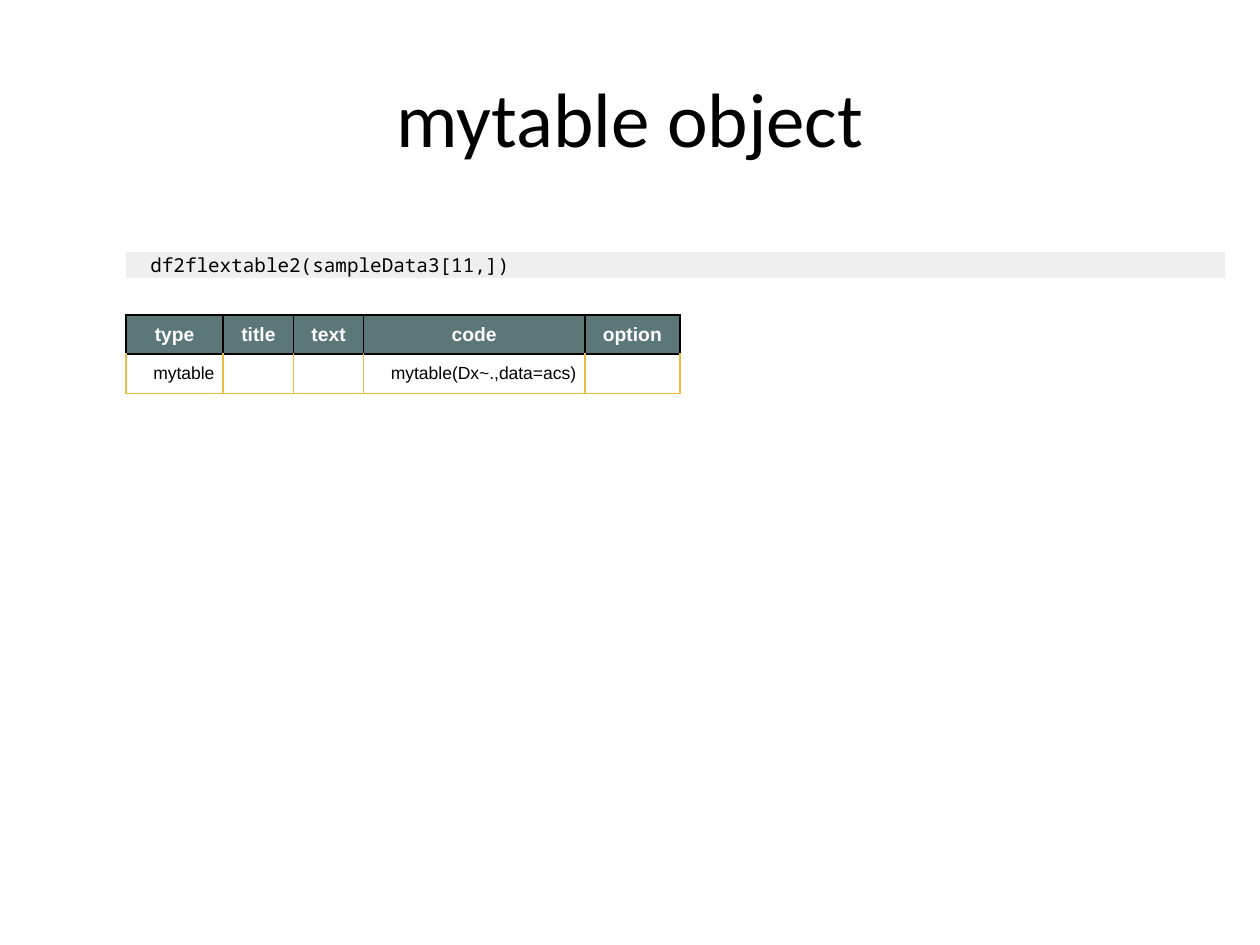
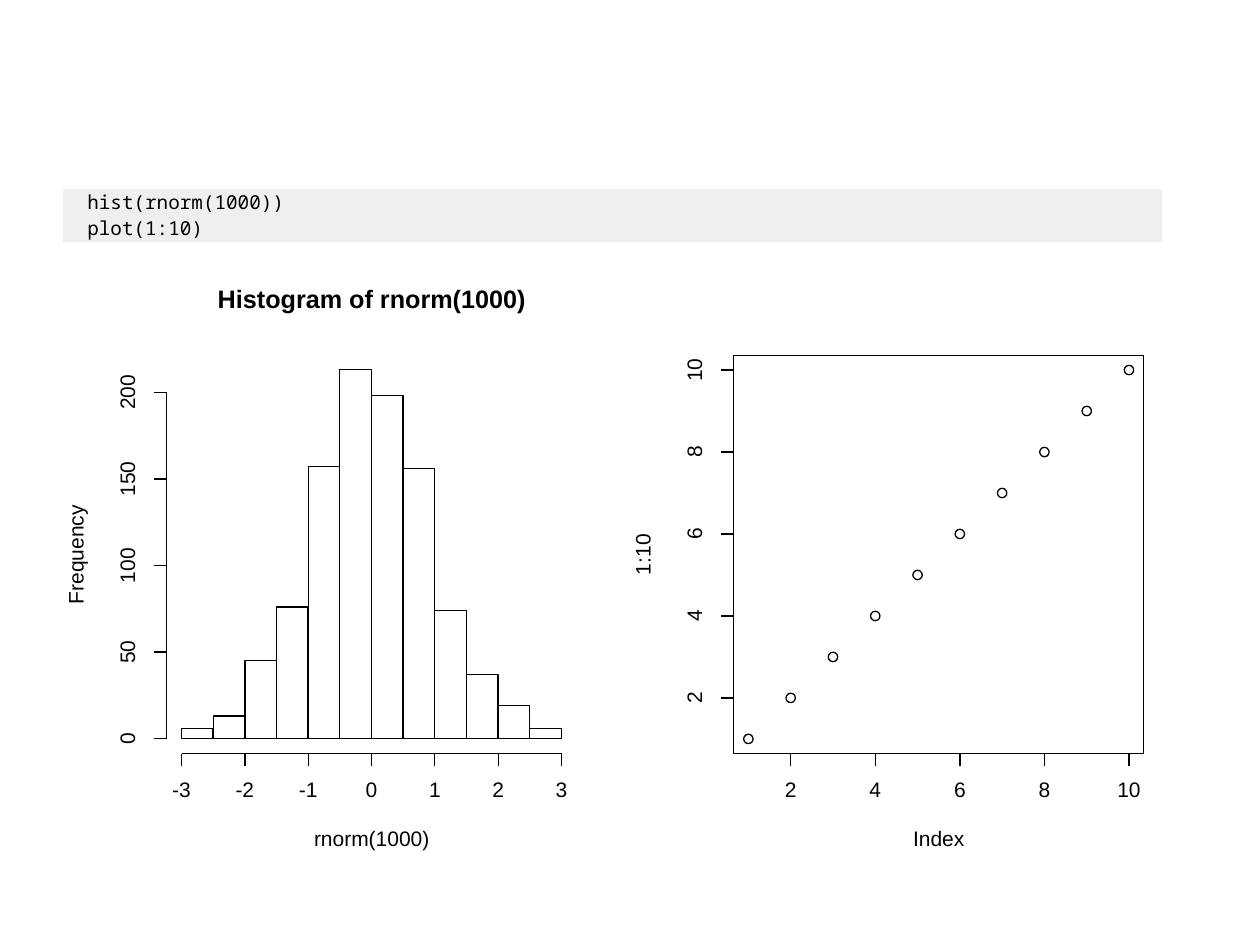
from dataclasses import dataclass

from lxml.etree import SubElement
from pptx import Presentation
from pptx.dml.color import RGBColor
from pptx.enum.shapes import MSO_CONNECTOR, MSO_SHAPE
from pptx.enum.text import MSO_ANCHOR, PP_ALIGN
from pptx.oxml.ns import qn
from pptx.util import Cm, Pt


@dataclass(frozen=True)
class Theme:
    black: str = "000000"
    white: str = "FFFFFF"
    code_band: str = "EFEFEF"
    header: str = "5B7778"
    gold: str = "EDBD3E"
    title_font: str = "Calibri"
    code_font: str = "Noto Sans Mono"
    body_font: str = "Arial"
    title_size: float = 44
    code_size: float = 11
    header_size: float = 11
    cell_size: float = 10
    plot_title_size: float = 14.4
    label_size: float = 12
    plot_line: float = 0.75
    table_line: float = 1


NO_STYLE_NO_GRID = "{2D5ABB26-0587-4C30-8999-92F81FD0307C}"
SLIDE_WIDTH, SLIDE_HEIGHT = 25.4, 19.05

# Plot layout in cm, the same for both panels
PANEL_WIDTH, PANEL_HEIGHT, PANEL_TOP = 11.43, 12.7, 5.08
FRAME_INSET, FRAME_WIDTH = 2.09, 8.27
FRAME_TOP, FRAME_BOTTOM = 7.17, 15.19
TICK, LABEL_GAP, AXIS_TITLE_GAP, PLOT_TITLE_GAP = 0.25, 0.76, 1.8, 1.1


def scale(first_value, first_place, last_value, last_place):
    """Return a function that turns a data value into a place in cm."""
    step = (last_place - first_place) / (last_value - first_value)
    return lambda value: first_place + (value - first_value) * step


class Deck:
    def __init__(self, theme):
        self.theme = theme
        self.presentation = Presentation()
        self.presentation.slide_width = Cm(SLIDE_WIDTH)
        self.presentation.slide_height = Cm(SLIDE_HEIGHT)
        self.slide = None
        self.shapes = None

    def new_slide(self):
        self.slide = self.presentation.slides.add_slide(self.presentation.slide_layouts[6])
        self.shapes = self.slide.shapes

    def format_runs(self, paragraph, font, size, color, bold=False):
        for run in paragraph.runs:
            run.font.name = font
            run.font.size = Pt(size)
            run.font.bold = bold
            run.font.color.rgb = RGBColor.from_string(color)

    def title(self, text):
        box = self.shapes.add_textbox(Cm(1.27), Cm(0.76), Cm(22.86), Cm(3.18))
        box.text_frame.word_wrap = True
        box.text_frame.vertical_anchor = MSO_ANCHOR.MIDDLE
        box.text_frame.text = text
        paragraph = box.text_frame.paragraphs[0]
        paragraph.alignment = PP_ALIGN.CENTER
        self.format_runs(paragraph, self.theme.title_font, self.theme.title_size, self.theme.black)

    # Tables
    def table(self, left, top, widths, row_height, row_count):
        frame = self.shapes.add_table(row_count, len(widths), Cm(left), Cm(top),
                                      Cm(sum(widths)), Cm(row_height * row_count))
        table = frame.table
        table.first_row = table.horz_banding = False
        table._tbl.tblPr.find(qn("a:tableStyleId")).text = NO_STYLE_NO_GRID
        for column, width in zip(table.columns, widths):
            column.width = Cm(width)
        for row in table.rows:
            row.height = Cm(row_height)
        return table

    def cell(self, cell, text, font, size, color, fill=None, bold=False):
        cell.margin_left = cell.margin_right = cell.margin_top = cell.margin_bottom = 0
        cell.vertical_anchor = MSO_ANCHOR.MIDDLE
        if fill:
            cell.fill.solid()
            cell.fill.fore_color.rgb = RGBColor.from_string(fill)
        else:
            cell.fill.background()
        paragraph = cell.text_frame.paragraphs[0]
        if text:
            paragraph.text = text
            self.format_runs(paragraph, font, size, color, bold)
        else:
            SubElement(paragraph._p, qn("a:endParaRPr"), sz=str(size * 100))
        return paragraph

    def borders(self, cell, sides, top, bottom):
        properties = cell._tc.get_or_add_tcPr()
        for tag, color in (("lnL", sides), ("lnR", sides), ("lnT", top), ("lnB", bottom)):
            line = SubElement(properties, qn("a:" + tag), w=str(Pt(self.theme.table_line)))
            SubElement(SubElement(line, qn("a:solidFill")), qn("a:srgbClr"), val=color)

    def code(self, left, top, lines):
        theme = self.theme
        table = self.table(left, top, [0.49, 21.66], 0.53, len(lines))
        for row, line in enumerate(lines):
            for column, text in enumerate(("", line)):
                self.cell(table.cell(row, column), text, theme.code_font,
                          theme.code_size, theme.black, theme.code_band)

    def data_table(self, left, top, widths, rows):
        theme = self.theme
        table = self.table(left, top, widths, 0.79, len(rows))
        for row, texts in enumerate(rows):
            for column, text in enumerate(texts):
                cell = table.cell(row, column)
                if row == 0:
                    self.borders(cell, theme.black, theme.black, theme.gold)
                    paragraph = self.cell(cell, text, theme.body_font, theme.header_size,
                                          theme.white, theme.header, bold=True)
                    paragraph.alignment = PP_ALIGN.CENTER
                else:
                    self.borders(cell, theme.gold, theme.black, theme.gold)
                    paragraph = self.cell(cell, text, theme.body_font, theme.cell_size, theme.black)
                    paragraph.alignment = PP_ALIGN.RIGHT
                paragraph.space_before = paragraph.space_after = Pt(2)
                for margin in ("marL", "marR"):
                    paragraph._p.get_or_add_pPr().set(margin, str(Cm(0.18)))

    # Plot parts
    def outline(self, kind, left, top, width, height, color=None, fill=None):
        shape = self.shapes.add_shape(kind, Cm(left), Cm(top), Cm(width), Cm(height))
        shape.shadow.inherit = False
        if fill:
            shape.fill.solid()
            shape.fill.fore_color.rgb = RGBColor.from_string(fill)
        else:
            shape.fill.background()
        shape.line.color.rgb = RGBColor.from_string(color or self.theme.black)
        shape.line.width = Pt(self.theme.plot_line)

    def line(self, x1, y1, x2, y2):
        connector = self.shapes.add_connector(MSO_CONNECTOR.STRAIGHT, Cm(x1), Cm(y1), Cm(x2), Cm(y2))
        connector.line.color.rgb = RGBColor.from_string(self.theme.black)
        connector.line.width = Pt(self.theme.plot_line)
        SubElement(connector._element.spPr, qn("a:effectLst"))

    def label(self, text, center_x, center_y, upright=False, size=None, bold=False):
        size = size or self.theme.label_size
        width, height = 0.021 * size * len(text), 0.3
        box = self.shapes.add_textbox(Cm(center_x - width / 2), Cm(center_y - height / 2),
                                      Cm(width), Cm(height))
        box.rotation = 270 if upright else 0
        frame = box.text_frame
        frame.margin_left = frame.margin_right = frame.margin_top = frame.margin_bottom = 0
        frame.word_wrap = False
        frame.vertical_anchor = MSO_ANCHOR.MIDDLE
        frame.text = text
        paragraph = frame.paragraphs[0]
        paragraph.alignment = PP_ALIGN.CENTER
        paragraph.line_spacing = Pt(size)
        self.format_runs(paragraph, self.theme.body_font, size, self.theme.black, bold)

    def x_axis(self, place, values):
        self.line(place(values[0]), FRAME_BOTTOM, place(values[-1]), FRAME_BOTTOM)
        for value in values:
            self.line(place(value), FRAME_BOTTOM, place(value), FRAME_BOTTOM + TICK)
            self.label(str(value), place(value), FRAME_BOTTOM + LABEL_GAP)

    def y_axis(self, axis_x, place, values):
        self.line(axis_x, place(values[0]), axis_x, place(values[-1]))
        for value in values:
            self.line(axis_x, place(value), axis_x - TICK, place(value))
            self.label(str(value), axis_x - LABEL_GAP, place(value), upright=True)

    def plot_panel(self, left, x_title, y_title, x_place, x_values, y_place, y_values, title=""):
        """Start a grouped panel with axes and titles; return the frame's left edge."""
        self.shapes = self.slide.shapes.add_group_shape().shapes
        self.outline(MSO_SHAPE.RECTANGLE, left, PANEL_TOP, PANEL_WIDTH, PANEL_HEIGHT,
                     self.theme.white, self.theme.white)
        frame_left = left + FRAME_INSET
        middle = frame_left + FRAME_WIDTH / 2
        self.x_axis(x_place, x_values)
        self.y_axis(frame_left, y_place, y_values)
        self.label(x_title, middle, FRAME_BOTTOM + AXIS_TITLE_GAP - 0.05)
        self.label(y_title, frame_left - AXIS_TITLE_GAP, (FRAME_TOP + FRAME_BOTTOM) / 2, upright=True)
        if title:
            self.label(title, middle, FRAME_TOP - PLOT_TITLE_GAP,
                       size=self.theme.plot_title_size, bold=True)
        return frame_left

    def histogram(self, left, title, x_title, y_title, start, bin_width, counts):
        x_place = scale(-3, 3.66, 3, 11.32)
        y_place = scale(0, 14.89, 200, 7.91)
        self.plot_panel(left, x_title, y_title, x_place, range(-3, 4),
                        y_place, range(0, 201, 50), title)
        for index, count in enumerate(counts):
            bar_left = x_place(start + index * bin_width)
            bar_right = x_place(start + (index + 1) * bin_width)
            self.outline(MSO_SHAPE.RECTANGLE, bar_left, y_place(count),
                         bar_right - bar_left, y_place(0) - y_place(count))

    def scatter(self, left, x_title, y_title, points):
        x_place = scale(2, 15.94, 10, 22.76)
        y_place = scale(2, 14.07, 10, 7.46)
        ticks = range(2, 11, 2)
        frame_left = self.plot_panel(left, x_title, y_title, x_place, ticks, y_place, ticks)
        self.outline(MSO_SHAPE.RECTANGLE, frame_left, FRAME_TOP, FRAME_WIDTH, FRAME_BOTTOM - FRAME_TOP)
        diameter = 0.19
        for x, y in points:
            self.outline(MSO_SHAPE.OVAL, x_place(x) - diameter / 2, y_place(y) - diameter / 2,
                         diameter, diameter)


deck = Deck(Theme())

# Slide 1: table object
deck.new_slide()
deck.title("mytable object")
deck.code(2.54, 5.08, ["df2flextable2(sampleData3[11,])"])
deck.data_table(2.54, 6.35, [1.96, 1.42, 1.41, 4.46, 1.92], [
    ["type", "title", "text", "code", "option"],
    ["mytable", "", "", "mytable(Dx~.,data=acs)", ""],
])

# Slide 2: two plots side by side
deck.new_slide()
deck.code(1.27, 3.81, ["hist(rnorm(1000))", "plot(1:10)"])
deck.histogram(1.27, "Histogram of rnorm(1000)", "rnorm(1000)", "Frequency", -3, 0.5,
               [6, 13, 45, 76, 157, 213, 198, 156, 74, 37, 19, 6])
deck.scatter(1.27 + PANEL_WIDTH, "Index", "1:10", [(value, value) for value in range(1, 11)])

deck.presentation.save("out.pptx")
